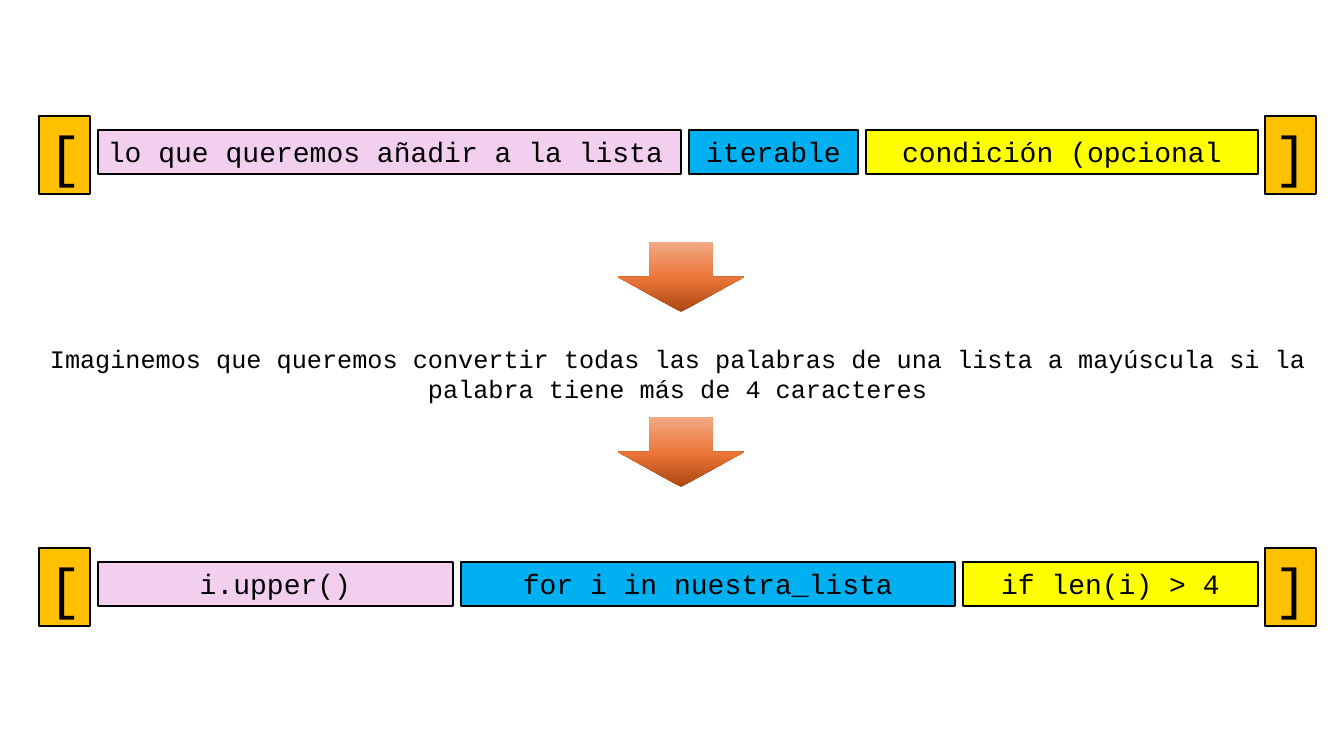
from copy import deepcopy
from pptx import Presentation
from pptx import util as u
from pptx.dml.color import RGBColor
from pptx.enum import shapes, text
from pptx.oxml.ns import qn

SCALE = 914400 / 100.8


def px(*nums):
    return [u.Emu(round(n * SCALE)) for n in nums]


def color(code):
    return RGBColor.from_string(code)


def write(frame, words, size=20, font="Courier New", ink="000000", align="CENTER"):
    frame.word_wrap = True
    frame.auto_size = text.MSO_AUTO_SIZE.SHAPE_TO_FIT_TEXT
    frame.vertical_anchor = text.MSO_ANCHOR.TOP
    para = frame.paragraphs[0]
    para.alignment = getattr(text.PP_ALIGN, align)
    run = para.add_run()
    run.text = words
    run.font.size = u.Pt(size)
    run.font.name = font
    run.font.color.rgb = color(ink)


class Board:
    edge = "000000"
    amber = "FFC000"
    tints = ["F2CFEE", "00B0F0", "FFFF00"]
    fade = [(0, "AB4712"), (0.48, "EA7538"), (1, "F2AA84")]
    left, width, side, gap = 39, 1277, 51, 8

    def __init__(self, slide):
        self.shapes = slide.shapes

    def label(self, x, y, w, h, words, **style):
        box = self.shapes.add_textbox(*px(x, y, w, h))
        write(box.text_frame, words, **style)
        return box

    def block(self, x, y, w, h, words, fill, **style):
        box = self.label(x, y, w, h, words, **style)
        box.fill.solid()
        box.fill.fore_color.rgb = color(fill)
        box.line.color.rgb = color(self.edge)
        box.line.width = u.Pt(1.5)

    def arrow(self, y):
        form = self.shapes.add_shape(shapes.MSO_SHAPE.DOWN_ARROW, *px(618, y, 126, 70))
        form.shadow.inherit = False
        form.line.fill.background()
        form.fill.gradient()
        form.fill.gradient_angle = 90
        stops = form._element.spPr.find(".//" + qn("a:gsLst"))
        stops.insert(1, deepcopy(stops[0]))
        for stop, (place, code) in zip(form.fill.gradient_stops, self.fade):
            stop.position = place
            stop.color.rgb = color(code)

    def row(self, y, parts):
        ends = [self.left, self.left + self.width - self.side]
        for x, mark in zip(ends, "[]"):
            self.block(x, y, self.side, 78, mark, self.amber, size=40, align="LEFT")
        x = self.left + self.side + self.gap
        for (words, w, align), tint in zip(parts, self.tints):
            self.block(x, y + 14, w, 44, words, tint, align=align)
            x += w + self.gap


deck = Presentation()
deck.slide_width, deck.slide_height = px(1344, 756)
board = Board(deck.slides.add_slide(deck.slide_layouts[6]))

board.row(116, [
    ("lo que queremos añadir a la lista", 583, "LEFT"),
    ("iterable", 169, "CENTER"),
    ("condición (opcional", 392, "CENTER"),
])
for top in (242, 417):
    board.arrow(top)
board.label(
    board.left, 338, board.width, 72,
    "Imaginemos que queremos convertir todas las palabras de una lista "
    "a mayúscula si la palabra tiene más de 4 caracteres",
    size=18,
)
board.row(548, [
    ("i.upper()", 355, "CENTER"),
    ("for i in nuestra_lista", 494, "CENTER"),
    ("if len(i) > 4", 295, "CENTER"),
])

deck.save("out.pptx")
